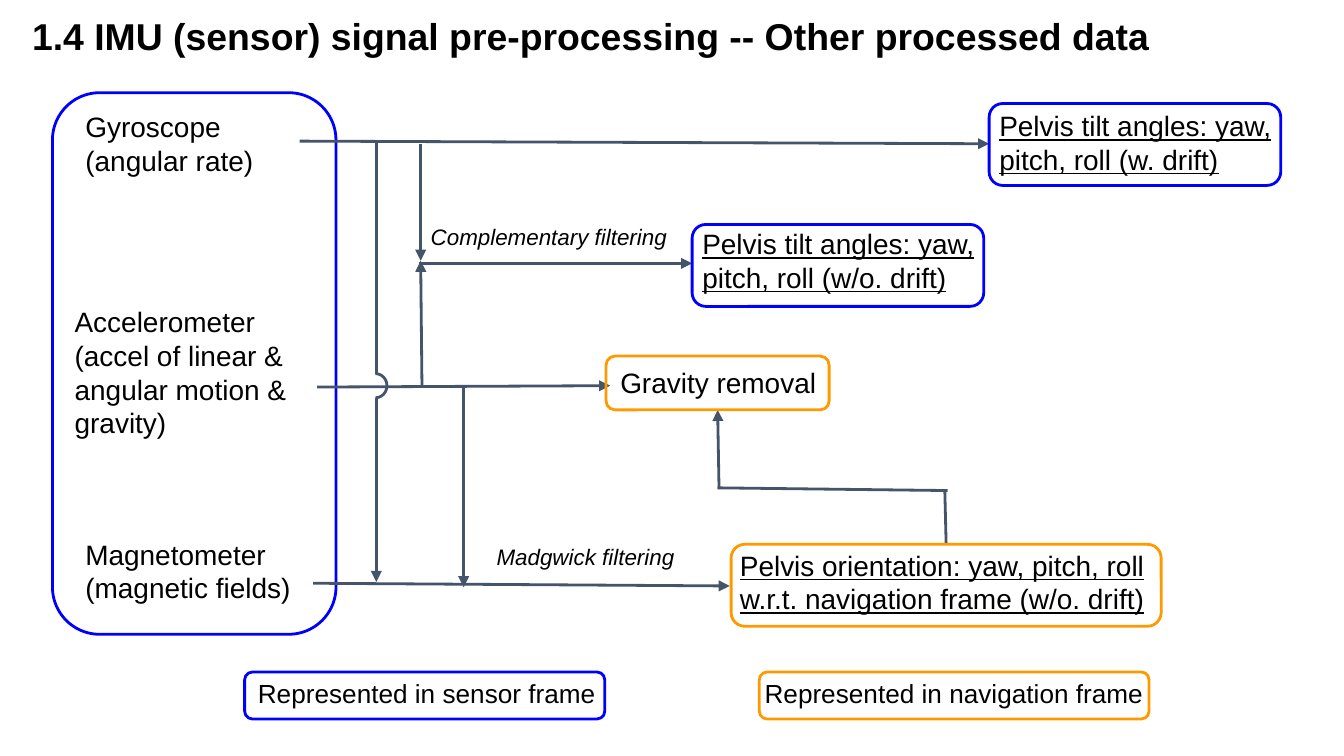
from dataclasses import dataclass
from typing import Any

from lxml.etree import SubElement
from pptx import Presentation
from pptx.dml.color import RGBColor
from pptx.enum.shapes import MSO_CONNECTOR as Connector, MSO_SHAPE as Shape
from pptx.oxml.ns import qn
from pptx.util import Inches, Pt

COLORS = {"sensor": "0000FF", "navigation": "FF9900", "flow": "44546A", "ink": "000000"}
WIDTH = Inches(10)
HEIGHT = WIDTH * 9 // 16
COLUMNS, ROWS = 100, 56.25
STROKE = Pt(1.5)
TIGHT, ROOMY = (0.75, 0.38), (1, 1)


def color(name):
    return RGBColor.from_string(COLORS[name])


def across(columns):
    return round(WIDTH * columns / COLUMNS)


def down(rows):
    return round(HEIGHT * rows / ROWS)


@dataclass
class Region:
    shapes: Any
    left: float
    top: float
    width: float
    height: float

    def place(self, left, top, width, height):
        return across(self.left + left), down(self.top + top), across(width), down(height)

    def label(self, box, lines, size, insets=TIGHT, **style):
        frame = self.shapes.add_textbox(*self.place(*box)).text_frame
        frame.word_wrap = True
        frame.margin_left = frame.margin_right = across(insets[0])
        frame.margin_top = frame.margin_bottom = down(insets[1])
        frame.text = lines
        for paragraph in frame.paragraphs:
            font = paragraph.font
            font.name, font.size = "Arial", Pt(size)
            font.color.rgb = color("ink")
            for trait, value in style.items():
                setattr(font, trait, value)

    def outline(self, box, tone, kind=Shape.ROUNDED_RECTANGLE):
        border = self.shapes.add_shape(kind, *self.place(*box))
        border.shadow.inherit = False
        border.fill.background()
        border.line.color.rgb = color(tone)
        border.line.width = STROKE
        return border

    def flow(self, start, end, arrow=True):
        x1, y1, _, _ = self.place(*start, 0, 0)
        x2, y2, _, _ = self.place(*end, 0, 0)
        link = self.shapes.add_connector(Connector.STRAIGHT, x1, y1, x2, y2)
        link.line.color.rgb = color("flow")
        link.line.width = STROKE
        if arrow:
            SubElement(link.get_or_add_ln(), qn("a:tailEnd"), type="triangle")
        SubElement(link.element.spPr, qn("a:effectLst"))


def add_title(region):
    region.label((0, 0, region.width, region.height),
                 "1.4 IMU (sensor) signal pre-processing -- Other processed data",
                 20, ROOMY, bold=True)


def add_sensors(region):
    region.outline((0, 0, region.width, region.height), "sensor")
    region.label((1.7, 0.9, 14.2, 7.6), "Gyroscope (angular rate)", 15)
    region.label((0.9, 15.4, 18.9, 12.9),
                 "Accelerometer\n(accel of linear & angular motion & gravity)", 15)
    region.label((1.7, 32.7, 17.7, 7.6), "Magnetometer (magnetic fields)", 15)


def add_flows(region):
    arrows = [
        ((0, 3.6), (51.3, 3.8)),
        ((1.3, 21.9), (23.1, 21.8)),
        ((1, 36.5), (32, 36.7)),
        ((8.9, 12.7), (29.2, 12.7)),
        ((9, 3.8), (9, 12.5)),
        ((9.1, 21.9), (9, 12.5)),
        ((12.2, 21.8), (12.2, 36.8)),
        ((5.7, 22.7), (5.7, 36.4)),
        ((31.2, 29.5), (31.1, 23.6)),
    ]
    plain = [
        ((5.7, 3.7), (5.7, 20.9)),
        ((31.1, 29.4), (48.2, 29.6)),
        ((48, 29.6), (48.1, 33.6)),
    ]
    for start, end in arrows:
        region.flow(start, end)
    for start, end in plain:
        region.flow(start, end, arrow=False)
    hop = region.outline((4.8, 20.9, 1.7, 1.8), "flow", Shape.ARC)
    hop.adjustments[1] = 54
    region.label((9, 9.3, 21.7, 3.4), "Complementary filtering", 12, italic=True)
    region.label((13.9, 33.1, 15.4, 3.4), "Madgwick filtering", 12, italic=True)


def add_result(region, wording, tone, shift=(0, 0), slack=1.2, underline=True):
    region.outline((0, 0, region.width, region.height), tone)
    region.label((*shift, region.width + slack, region.height), wording, 15,
                 underline=underline)


def add_legend(region, wording, tone, shift, slack):
    region.outline((0, 0, region.width, region.height), tone)
    region.label((shift, -0.6, region.width + slack, 4.7), wording, 14, ROOMY)


def main():
    deck = Presentation()
    deck.slide_width, deck.slide_height = WIDTH, HEIGHT
    shapes = deck.slides.add_slide(deck.slide_layouts[6]).shapes

    add_title(Region(shapes, 1.4, 0, 98.6, 5.4))
    add_sensors(Region(shapes, 3.9, 6.9, 21.1, 40.3))
    add_flows(Region(shapes, 22.3, 6.9, 52.6, 40.3))
    add_result(Region(shapes, 73.6, 7.7, 21.7, 6.1),
               "Pelvis tilt angles: yaw, pitch, roll (w. drift)", "sensor")
    add_result(Region(shapes, 51.5, 16.7, 21.7, 6.1),
               "Pelvis tilt angles: yaw, pitch, roll (w/o. drift)", "sensor", (0, -0.2))
    add_result(Region(shapes, 45.1, 26.5, 16.6, 4), "Gravity removal", "navigation",
               (0.3, 0.3), 0, underline=False)
    add_result(Region(shapes, 54.4, 40.5, 32, 6.1),
               "Pelvis orientation: yaw, pitch, roll w.r.t. navigation frame (w/o. drift)",
               "navigation", (-0.1, -0.1), 2.8)
    add_legend(Region(shapes, 18.2, 50, 26.8, 3.5),
               "Represented in sensor frame", "sensor", 0, 1.3)
    add_legend(Region(shapes, 56.5, 50, 29, 3.5),
               "Represented in navigation frame", "navigation", -0.6, 1.9)

    deck.save("out.pptx")


if __name__ == "__main__":
    main()
